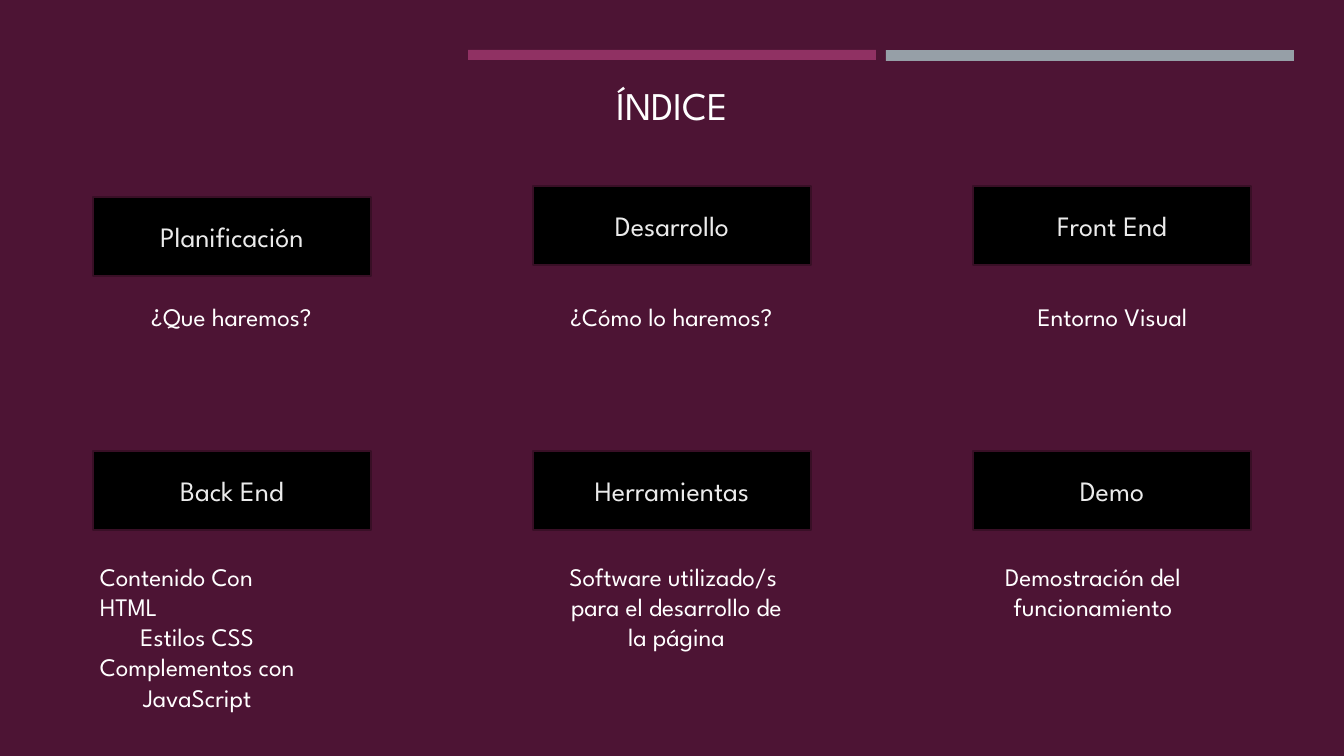
"""Build the index slide: a title, two accent bars and six captioned topics."""
from dataclasses import dataclass

from pptx import Presentation
from pptx.dml.color import RGBColor
from pptx.enum.shapes import MSO_SHAPE
from pptx.enum.text import MSO_ANCHOR, PP_ALIGN
from pptx.shapes.autoshape import Shape
from pptx.slide import Slide
from pptx.text.text import TextFrame
from pptx.util import Emu, Pt

RECTANGLE = MSO_SHAPE.RECTANGLE
TOP, MIDDLE, BOTTOM = MSO_ANCHOR.TOP, MSO_ANCHOR.MIDDLE, MSO_ANCHOR.BOTTOM
LEFT, CENTER = PP_ALIGN.LEFT, PP_ALIGN.CENTER

EMU_PER_PIXEL = 914400 / 100.8
FONT = "League Spartan"
PLUM, MAGENTA, GRAY = "4D1434", "903163", "969FA7"
BLACK, EDGE, PALE, WHITE = "000000", "390F26", "EBEBEB", "FFFFFF"

FIRST_COLUMN, COLUMN_PITCH = 93, 440
TOPIC_WIDTH, TOPIC_HEIGHT = 278, 79
CAPTION_GAP, LINE_HEIGHT, CAPTION_PADDING = 105, 30, 10


@dataclass(frozen=True)
class Area:
    left: int
    top: int
    width: int
    height: int


@dataclass(frozen=True)
class Topic:
    column: int
    top: int
    name: str
    caption_left: int
    caption_top: int
    caption_width: int
    lines: tuple[str, ...]
    left_lines: tuple[int, ...] = ()


TOPICS = (
    Topic(0, 197, "Planificación", 124, 296, 215, ("¿Que haremos?",)),
    Topic(1, 186, "Desarrollo", 539, 296, 265, ("¿Cómo lo haremos?",)),
    Topic(2, 186, "Front End", 1009, 296, 207, ("Entorno Visual",)),
    Topic(0, 451, "Back End", 90, 556, 236,
          ("Contenido Con HTML", "Estilos CSS", "Complementos con", "JavaScript"), (0, 2)),
    Topic(1, 451, "Herramientas", 539, 556, 275,
          ("Software utilizado/s ", "para el desarrollo de", "la página")),
    Topic(2, 451, "Demo", 971, 556, 244, ("Demostración del", "funcionamiento")),
)


def color(value: str) -> RGBColor:
    """Turn a hex string into a colour."""
    return RGBColor.from_string(value)


def emu(area: Area) -> tuple[Emu, ...]:
    """Turn an area in pixels into EMU lengths."""
    pixels = (area.left, area.top, area.width, area.height)
    return tuple(Emu(round(pixel * EMU_PER_PIXEL)) for pixel in pixels)


def write(frame: TextFrame, lines: tuple[str, ...], size: int, ink: str,
          anchor: MSO_ANCHOR, left_lines: tuple[int, ...] = ()) -> None:
    """Fill a text frame with one paragraph per line."""
    frame.vertical_anchor = anchor
    for index, line in enumerate(lines):
        paragraph = frame.paragraphs[0] if index == 0 else frame.add_paragraph()
        paragraph.text = line
        paragraph.alignment = LEFT if index in left_lines else CENTER
        paragraph.font.name = FONT
        paragraph.font.size = Pt(size)
        paragraph.font.color.rgb = color(ink)


def add_rectangle(page: Slide, area: Area, fill: str) -> Shape:
    """Draw a flat rectangle without an outline."""
    box = page.shapes.add_shape(RECTANGLE, *emu(area))
    box.shadow.inherit = False
    box.fill.solid()
    box.fill.fore_color.rgb = color(fill)
    box.line.fill.background()
    return box


def add_text(page: Slide, area: Area, lines: tuple[str, ...], size: int,
             anchor: MSO_ANCHOR, left_lines: tuple[int, ...] = ()) -> None:
    """Place white text that keeps its own line breaks."""
    frame = page.shapes.add_textbox(*emu(area)).text_frame
    frame.word_wrap = False
    write(frame, lines, size, WHITE, anchor, left_lines)


def add_topic(page: Slide, topic: Topic) -> None:
    """Draw a topic box and its caption."""
    left = FIRST_COLUMN + topic.column * COLUMN_PITCH
    box = add_rectangle(page, Area(left, topic.top, TOPIC_WIDTH, TOPIC_HEIGHT), BLACK)
    box.line.color.rgb = color(EDGE)
    box.line.width = Pt(1.75)
    write(box.text_frame, (topic.name,), 20, PALE, MIDDLE)
    height = CAPTION_PADDING + LINE_HEIGHT * len(topic.lines)
    area = Area(topic.caption_left, topic.caption_top, topic.caption_width, height)
    add_text(page, area, topic.lines, 18, TOP, topic.left_lines)


def main() -> None:
    """Build and save the deck."""
    deck = Presentation()
    _, _, deck.slide_width, deck.slide_height = emu(Area(0, 0, 1344, 756))
    page = deck.slides.add_slide(deck.slide_layouts[6])
    page.background.fill.solid()
    page.background.fill.fore_color.rgb = color(PLUM)
    add_rectangle(page, Area(886, 50, 408, 11), GRAY)
    add_rectangle(page, Area(468, 50, 408, 10), MAGENTA)
    add_text(page, Area(128, 74, 1088, 59), ("ÍNDICE",), 28, BOTTOM)
    for topic in TOPICS:
        add_topic(page, topic)
    deck.save("out.pptx")


main()
